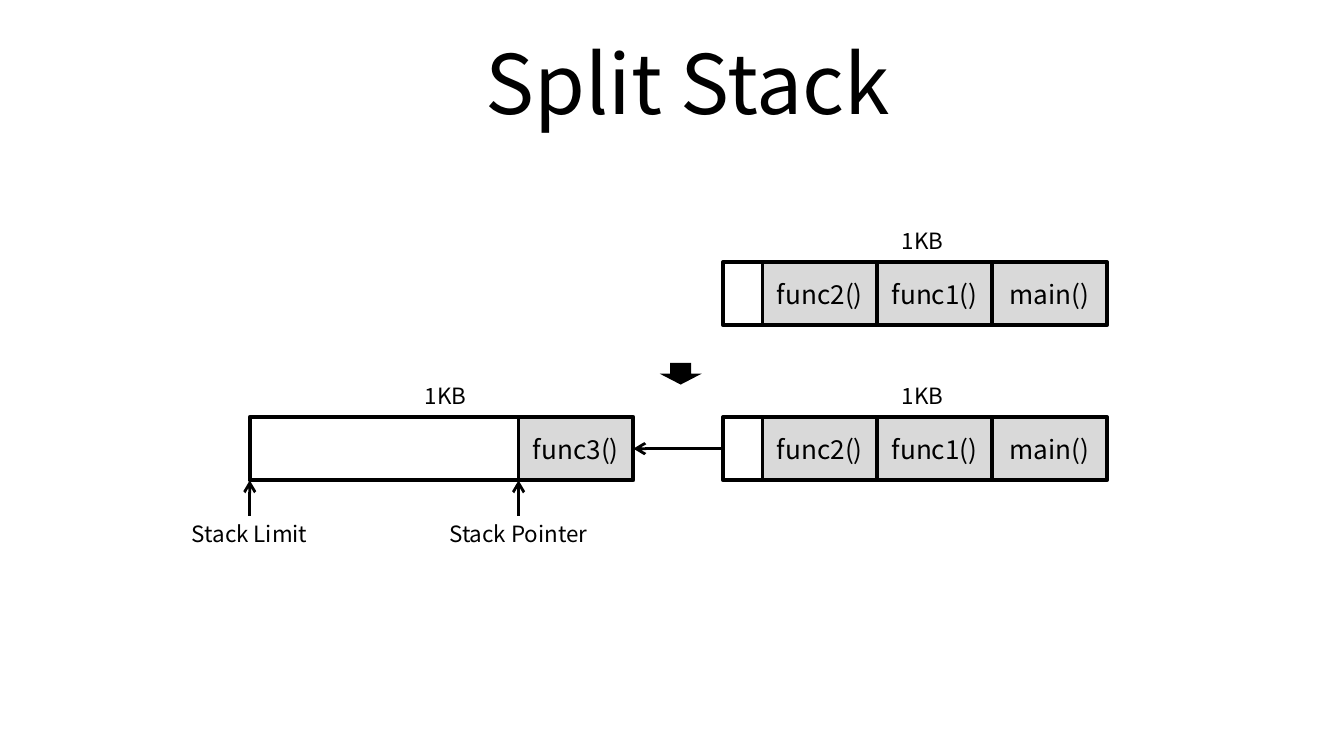
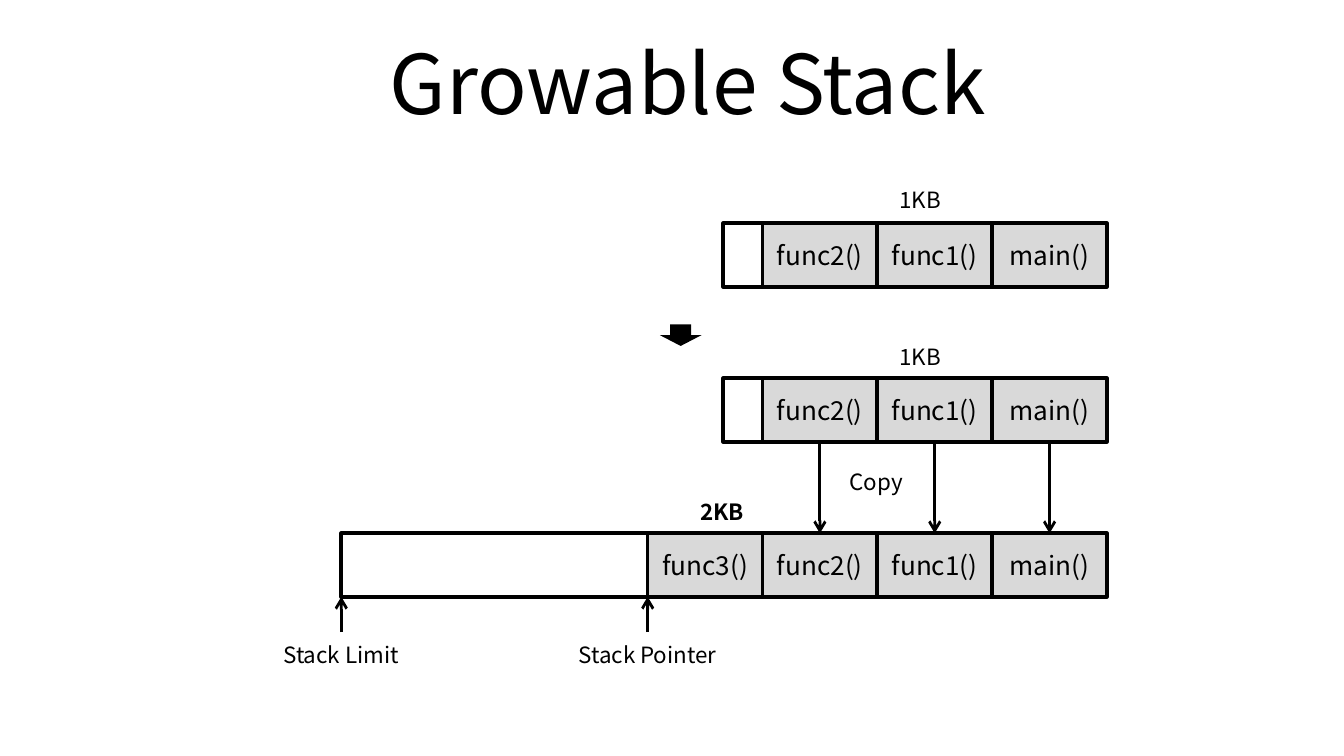
from lxml.etree import SubElement
from pptx import Presentation
from pptx.dml.color import RGBColor
from pptx.enum.shapes import MSO_CONNECTOR, MSO_SHAPE
from pptx.enum.text import MSO_ANCHOR, PP_ALIGN
from pptx.oxml.ns import qn
from pptx.util import Cm, Pt

COLORS = {"ink": "000000", "used": "D9D9D9", "free": "FFFFFF"}
FONT = "Noto Sans CJK KR"
FRAME_W, FRAME_H = 2.17, 1.2
STACK_RIGHT, STACK_FREE = 20.92, 13.67
ROW_STEP = 2.93
POINTER_LEN = 0.67
CALLS = ["main()", "func1()", "func2()"]


class Deck:
    """Draws stack diagrams on the current slide in one shared style."""

    def __init__(self):
        self.prs = Presentation()
        self.prs.slide_width, self.prs.slide_height = Cm(25.4), Cm(14.29)
        self.s = None

    def color(self, name):
        return RGBColor.from_string(COLORS[name])

    def set_text(self, sp, text, size, bold=False):
        tf = sp.text_frame
        tf.word_wrap = True
        tf.vertical_anchor = MSO_ANCHOR.MIDDLE
        tf.margin_left = tf.margin_right = tf.margin_top = tf.margin_bottom = 0
        tf.text = text
        p = tf.paragraphs[0]
        p.alignment = PP_ALIGN.CENTER
        for r in p.runs:
            r.font.name, r.font.size, r.font.bold = FONT, Pt(size), bold
            r.font.color.rgb = self.color("ink")

    def slide(self, title):
        self.s = self.prs.slides.add_slide(self.prs.slide_layouts[6])
        sp = self.s.shapes.add_textbox(Cm(1.57), Cm(0.36), Cm(22.86), Cm(2.38))
        self.set_text(sp, title, 44)

    def shape(self, kind, x, y, w, h, fill=None, outlined=False):
        sp = self.s.shapes.add_shape(kind, Cm(x), Cm(y), Cm(w), Cm(h))
        sp.shadow.inherit = False
        if fill:
            sp.fill.solid()
            sp.fill.fore_color.rgb = self.color(fill)
        else:
            sp.fill.background()
        if outlined:
            sp.line.color.rgb = self.color("ink")
            sp.line.width = Pt(2)
        else:
            sp.line.fill.background()
        return sp

    def box(self, x, y, w, text=""):
        fill = "used" if text else "free"
        sp = self.shape(MSO_SHAPE.ROUNDED_RECTANGLE, x, y, w, FRAME_H, fill, True)
        sp.adjustments[0] = 0
        if text:
            self.set_text(sp, text, 14)
        return sp

    def stack(self, y, free_left=STACK_FREE):
        frames = [self.box(STACK_RIGHT - (i + 1) * FRAME_W, y, FRAME_W, call)
                  for i, call in enumerate(CALLS)]
        width = STACK_RIGHT - len(CALLS) * FRAME_W - free_left
        return frames, self.box(free_left, y, width)

    def label(self, text, center, y, w=2.72, bold=False):
        sp = self.shape(MSO_SHAPE.ROUNDED_RECTANGLE, center - w / 2, y, w, 0.81)
        self.set_text(sp, text, 12, bold)

    def down_arrow(self, first_row):
        self.shape(MSO_SHAPE.DOWN_ARROW, 12.47, first_row + 1.91, 0.79, 0.41, "ink")

    def arrow(self, x1=0, y1=0, x2=0, y2=0):
        c = self.s.shapes.add_connector(
            MSO_CONNECTOR.STRAIGHT, Cm(x1), Cm(y1), Cm(x2), Cm(y2))
        c.line.color.rgb = self.color("ink")
        c.line.width = Pt(1.5)
        spPr = c._element.spPr
        SubElement(spPr.find(qn("a:ln")), qn("a:tailEnd"), type="arrow")
        SubElement(spPr, qn("a:effectLst"))
        return c

    def join(self, start, start_site, end, end_site):
        c = self.arrow()
        c.begin_connect(start, start_site)
        c.end_connect(end, end_site)

    def pointers(self, limit, top, row, label_gap):
        bottom = row + FRAME_H
        for text, x, w in [("Stack Limit", limit, 2.87), ("Stack Pointer", top, 3.4)]:
            self.arrow(x, bottom + POINTER_LEN, x, bottom)
            self.label(text, x, bottom + label_gap, w)


def split_stack(deck):
    deck.slide("Split Stack")
    first = 4.95
    second = first + ROW_STEP
    limit, top = 4.72, 9.8
    deck.stack(first)
    deck.down_arrow(first)
    _, free = deck.stack(second)
    deck.box(limit, second, top - limit)
    func3 = deck.box(top, second, FRAME_W, "func3()")
    deck.join(free, 1, func3, 3)
    deck.pointers(limit, top, second, 0.6)
    for center, row in [(17.44, first), (17.44, second), (8.42, second)]:
        deck.label("1KB", center, row - 0.81)


def growable_stack(deck):
    deck.slide("Growable Stack")
    first, second, third = (4.22 + i * ROW_STEP for i in range(3))
    limit, top = 6.45, 12.24
    deck.stack(first)
    deck.down_arrow(first)
    old, _ = deck.stack(second)
    new, _ = deck.stack(third, limit)
    deck.box(top, third, FRAME_W, "func3()")
    for source, target in zip(old, new):
        deck.join(source, 2, target, 0)
    deck.pointers(limit, top, third, 0.68)
    deck.label("1KB", 17.39, first - 0.86)
    deck.label("1KB", 17.39, second - 0.81)
    deck.label("2KB", 13.65, third - 0.81, bold=True)
    deck.label("Copy", 16.56, 8.69)


def main():
    deck = Deck()
    split_stack(deck)
    growable_stack(deck)
    deck.prs.save("out.pptx")


if __name__ == "__main__":
    main()
